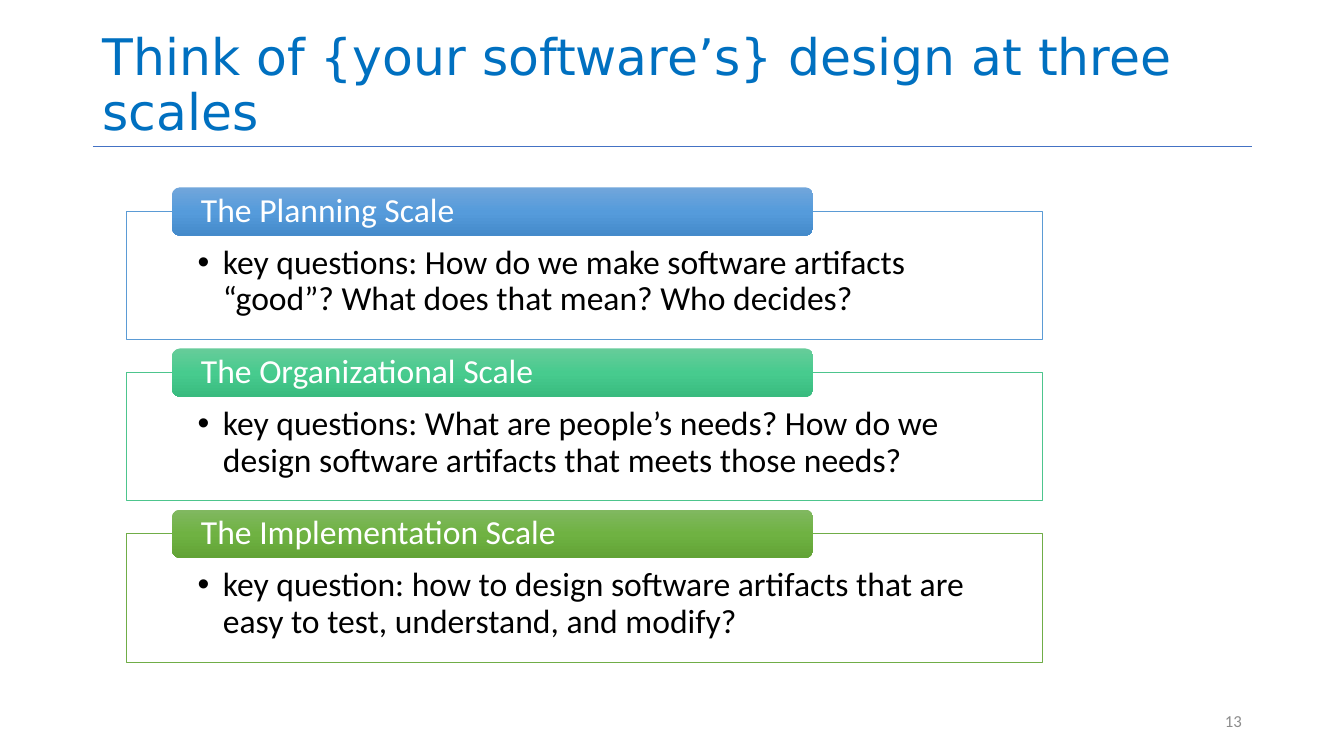
from copy import deepcopy

from lxml import etree
from pptx import Presentation
from pptx.dml.color import RGBColor
from pptx.enum.shapes import MSO_CONNECTOR, MSO_SHAPE
from pptx.enum.text import MSO_ANCHOR, PP_ALIGN
from pptx.oxml.ns import qn
from pptx.util import Cm, Pt

LEFT, RIGHT = PP_ALIGN.LEFT, PP_ALIGN.RIGHT
TOP, MIDDLE, BOTTOM = MSO_ANCHOR.TOP, MSO_ANCHOR.MIDDLE, MSO_ANCHOR.BOTTOM
RECTANGLE, ROUNDED = MSO_SHAPE.RECTANGLE, MSO_SHAPE.ROUNDED_RECTANGLE
STRAIGHT = MSO_CONNECTOR.STRAIGHT

COLORS = {
    "title": "0070C0",
    "rule": "4472C4",
    "number": "8C8C8C",
    "text": "000000",
    "white": "FFFFFF",
    "planning": "5B9BD5",
    "organizational": "4DC58D",
    "implementation": "70AD47",
}
GRADIENTS = {
    "planning": ("71A6DB", "559BDB", "448ACA"),
    "organizational": ("67CC9A", "47CB8E", "39BB7F"),
    "implementation": ("81B861", "6FB242", "62A336"),
}
SCALES = [
    ("planning", "The Planning Scale",
     "key questions: How do we make software artifacts “good”? "
     "What does that mean? Who decides?"),
    ("organizational", "The Organizational Scale",
     "key questions: What are people’s needs? "
     "How do we design software artifacts that meets those needs?"),
    ("implementation", "The Implementation Scale",
     "key question: how to design software artifacts that are easy to test, "
     "understand, and modify?"),
]


def color(name):
    return RGBColor.from_string(COLORS[name])


def write_text(shape, text, size=24, font="Calibri", fill="text", align=LEFT,
               anchor=TOP, insets=(0.25, 0.13, 0.25, 0.13), spacing=0.9,
               bullet=False):
    """Fill a shape with one paragraph; insets are left, top, right, bottom in cm."""
    frame = shape.text_frame
    frame.word_wrap = True
    frame.vertical_anchor = anchor
    frame.margin_left, frame.margin_top, frame.margin_right, frame.margin_bottom = map(Cm, insets)
    paragraph = frame.paragraphs[0]
    paragraph.alignment = align
    paragraph.line_spacing = spacing
    if bullet:
        properties = paragraph._p.get_or_add_pPr()
        properties.set("marL", str(Cm(0.64)))
        properties.set("indent", str(-Cm(0.64)))
        etree.SubElement(properties, qn("a:buFont")).set("typeface", "Arial")
        etree.SubElement(properties, qn("a:buChar")).set("char", "•")
    run = paragraph.add_run()
    run.text = text
    run.font.size = Pt(size)
    run.font.name = font
    run.font.color.rgb = color(fill)


def fill_gradient(shape, hex_colors):
    """Spread three colours evenly from top to bottom."""
    shape.fill.gradient()
    shape.fill.gradient_angle = 270
    stop_list = shape._element.spPr.find(".//" + qn("a:gsLst"))
    stop_list.insert(1, deepcopy(stop_list[0]))
    for index, (stop, hex_color) in enumerate(zip(shape.fill.gradient_stops, hex_colors)):
        stop.position = index / 2
        stop.color.rgb = RGBColor.from_string(hex_color)


def add_header(slide, left, top, width, height):
    # Rule under the title
    rule = slide.shapes.add_connector(
        STRAIGHT, Cm(left), Cm(top + height), Cm(left + width), Cm(top + height))
    rule.line.color.rgb = color("rule")
    rule.line.width = Pt(0.5)
    etree.SubElement(rule._element.spPr, qn("a:effectLst"))
    # Title
    title = slide.shapes.add_textbox(Cm(left), Cm(top), Cm(width), Cm(height))
    write_text(title, "Think of {your software’s} design at three scales",
               size=36, font="DejaVu Sans", fill="title", anchor=BOTTOM)


def add_scale(slide, left, top, width, height, key, heading, question):
    # Outlined box with the key question
    box = slide.shapes.add_shape(RECTANGLE, Cm(left), Cm(top), Cm(width), Cm(height))
    box.shadow.inherit = False
    box.fill.solid()
    box.fill.fore_color.rgb = color("white")
    box.line.color.rgb = color(key)
    box.line.width = Pt(0.5)
    write_text(box, question, insets=(1.8, 0.86, 1.8, 0.48), bullet=True)
    # Heading across the top edge
    label_height = 1.22
    label = slide.shapes.add_shape(
        ROUNDED, Cm(left + width * 0.05), Cm(top - label_height / 2),
        Cm(width * 0.7), Cm(label_height))
    label.shadow.inherit = False
    fill_gradient(label, GRADIENTS[key])
    label.line.fill.background()
    write_text(label, heading, fill="white", anchor=MIDDLE, insets=(0.67, 0, 0.67, 0))


def add_scales(slide, left, top, width, height, pitch):
    for index, scale in enumerate(SCALES):
        add_scale(slide, left, top + index * pitch, width, height, *scale)


def add_slide_number(slide, left, top, width, height):
    number = slide.shapes.add_textbox(Cm(left), Cm(top), Cm(width), Cm(height))
    write_text(number, "13", size=12, fill="number", align=RIGHT, anchor=MIDDLE, spacing=1.0)


def main():
    presentation = Presentation()
    presentation.slide_width = Cm(33.87)
    presentation.slide_height = Cm(19.05)
    slide = presentation.slides.add_slide(presentation.slide_layouts[6])
    add_header(slide, 2.34, 0, 29.21, 3.69)
    add_scales(slide, 3.18, 5.33, 23.09, 3.23, pitch=4.06)
    add_slide_number(slide, 23.93, 17.65, 7.62, 1.02)
    presentation.save("out.pptx")


if __name__ == "__main__":
    main()
